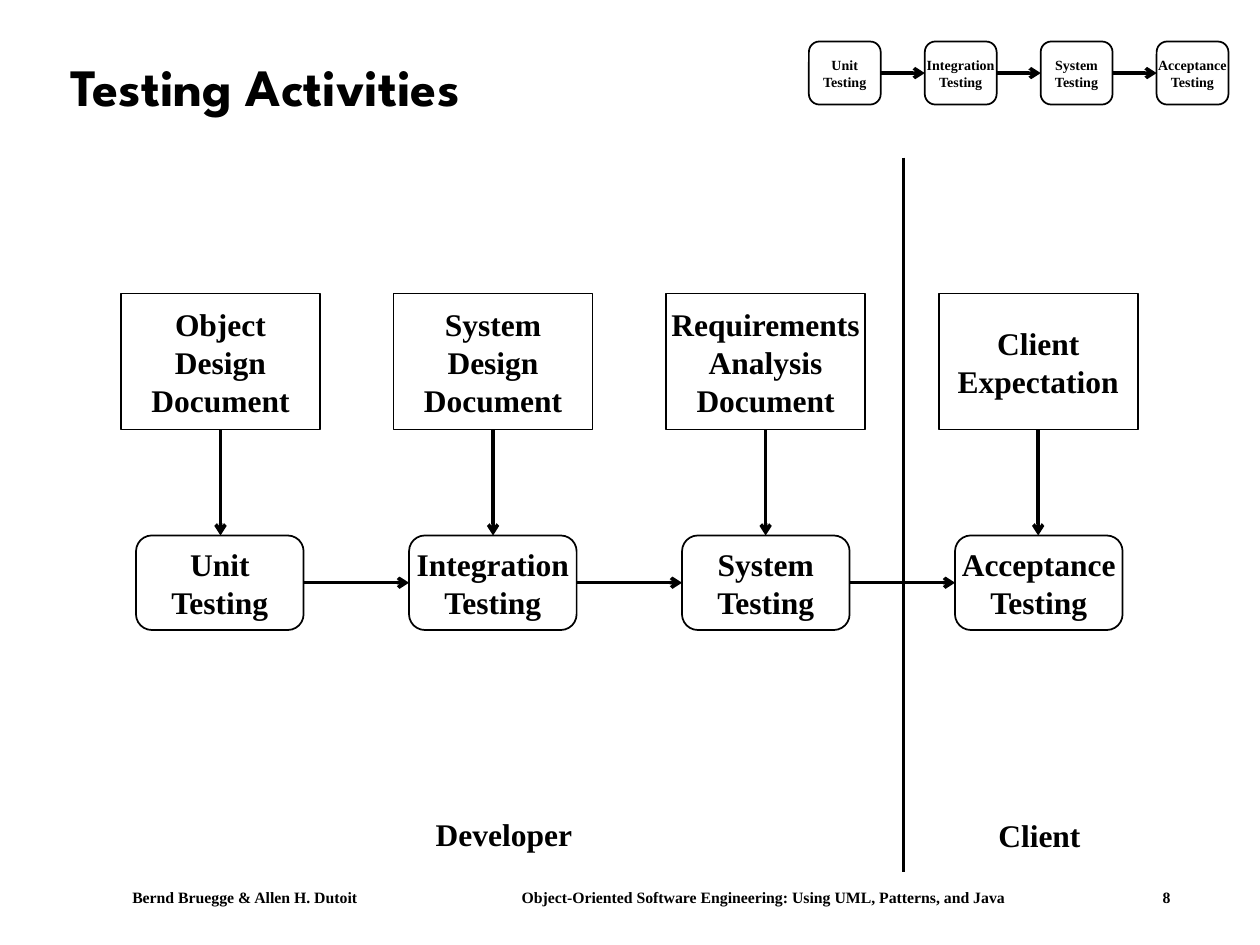
from lxml.etree import SubElement
from pptx import Presentation
from pptx.dml.color import RGBColor
from pptx.enum.shapes import MSO_CONNECTOR as Connector, MSO_SHAPE as Shape
from pptx.enum.text import MSO_ANCHOR as Anchor, PP_ALIGN as Align
from pptx.oxml.ns import qn
from pptx.util import Inches, Pt

COLORS = {"ink": "000000", "paper": "FFFFFF"}
BODY_FONT = "Times New Roman"
TITLE_FONT = "League Spartan"
STAGES = ["Unit\vTesting", "Integration\vTesting", "System\vTesting", "Acceptance\vTesting"]
DOCUMENTS = [
    "Object\vDesign\nDocument",
    "System\vDesign\nDocument",
    "Requirements\vAnalysis\nDocument",
    "Client\nExpectation",
]


def color(name):
    return RGBColor.from_string(COLORS[name])


def write(frame, text, size, font=BODY_FONT, align=Align.CENTER, anchor=Anchor.MIDDLE, wrap=True):
    frame.text = text
    frame.word_wrap = wrap
    frame.vertical_anchor = anchor
    for paragraph in frame.paragraphs:
        paragraph.alignment = align
        for run in paragraph.runs:
            run.font.size = Pt(size)
            run.font.name = font
            run.font.bold = True
            run.font.color.rgb = color("ink")
        for line_break in paragraph._p.findall(qn("a:br")):
            SubElement(line_break, qn("a:rPr"), sz=str(size * 100), b="1")


def add_label(slide, left, top, width, height, text, size, **style):
    label = slide.shapes.add_textbox(Inches(left), Inches(top), Inches(width), Inches(height))
    write(label.text_frame, text, size, **style)
    return label


def add_node(slide, kind, left, top, width, height, text, size):
    node = slide.shapes.add_shape(kind, Inches(left), Inches(top), Inches(width), Inches(height))
    node.shadow.inherit = False
    node.fill.solid()
    node.fill.fore_color.rgb = color("paper")
    node.line.color.rgb = color("ink")
    node.line.width = Pt(1)
    write(node.text_frame, text, size, wrap=False)


def add_line(slide, x1, y1, x2, y2, arrow=True):
    line = slide.shapes.add_connector(
        Connector.STRAIGHT, Inches(x1), Inches(y1), Inches(x2), Inches(y2))
    line.line.color.rgb = color("ink")
    line.line.width = Pt(2)
    if arrow:
        SubElement(line.line._get_or_add_ln(), qn("a:tailEnd"), type="arrow")
    SubElement(line._element.spPr, qn("a:effectLst"))


def add_stage_chain(slide, left, top, width, height, node_width, size):
    pitch = (width - node_width) / (len(STAGES) - 1)
    middle = top + height / 2
    for index, stage in enumerate(STAGES):
        x = left + index * pitch
        add_node(slide, Shape.ROUNDED_RECTANGLE, x, top, node_width, height, stage, size)
        if index:
            add_line(slide, x - pitch + node_width, middle, x, middle)


def add_document_row(slide, left, top, width, height, node_width, arrow_length):
    pitch = (width - node_width) / (len(DOCUMENTS) - 1)
    bottom = top + height
    for index, document in enumerate(DOCUMENTS):
        x = left + index * pitch
        center = x + node_width / 2
        add_node(slide, Shape.RECTANGLE, x, top, node_width, height, document, 18)
        add_line(slide, center, bottom, center, bottom + arrow_length)


def add_responsibilities(slide, left, top, width, height):
    divider = left + 3.92
    add_line(slide, divider, top, divider, top + height, arrow=False)
    add_label(slide, left, top + 5.17, 1.5, 0.4, "Developer", 18)
    add_label(slide, left + width - 1.5, top + 5.18, 1.5, 0.4, "Client", 18)


def add_title(slide, left, top, width, height):
    title = add_label(slide, left, top, width, height, "Testing Activities", 30,
                      font=TITLE_FONT, align=Align.LEFT)
    title.text_frame.paragraphs[0].line_spacing = 0.9


def add_footer(slide, left, top, width, height):
    authors = "Bernd Bruegge & Allen H. Dutoit"
    book = "Object-Oriented Software Engineering: Using UML, Patterns, and Java"
    footer = add_label(slide, left, top, width, height, f"{authors}\t{book}\t8", 9,
                       align=Align.LEFT, anchor=Anchor.TOP)
    footer.text_frame.margin_left = Inches(0.47)
    tab_list = SubElement(footer.text_frame.paragraphs[0]._p.get_or_add_pPr(), qn("a:tabLst"))
    for position, side in ((3.09, "l"), (8.24, "r")):
        SubElement(tab_list, qn("a:tab"), pos=str(Inches(position)), algn=side)


def main():
    deck = Presentation()
    deck.slide_width = Inches(10)
    deck.slide_height = Inches(7.5)
    slide = deck.slides.add_slide(deck.slide_layouts[6])
    add_footer(slide, 0.58, 7, 9.17, 0.25)
    add_title(slide, 0.46, 0.24, 8.92, 0.94)
    add_stage_chain(slide, 1.08, 4.25, 7.83, 0.75, 1.33, 18)
    add_document_row(slide, 0.96, 2.33, 8.07, 1.08, 1.58, 0.84)
    add_responsibilities(slide, 3.25, 1.25, 5.75, 5.67)
    add_stage_chain(slide, 6.42, 0.33, 3.33, 0.5, 0.57, 8)
    deck.save("out.pptx")


if __name__ == "__main__":
    main()
